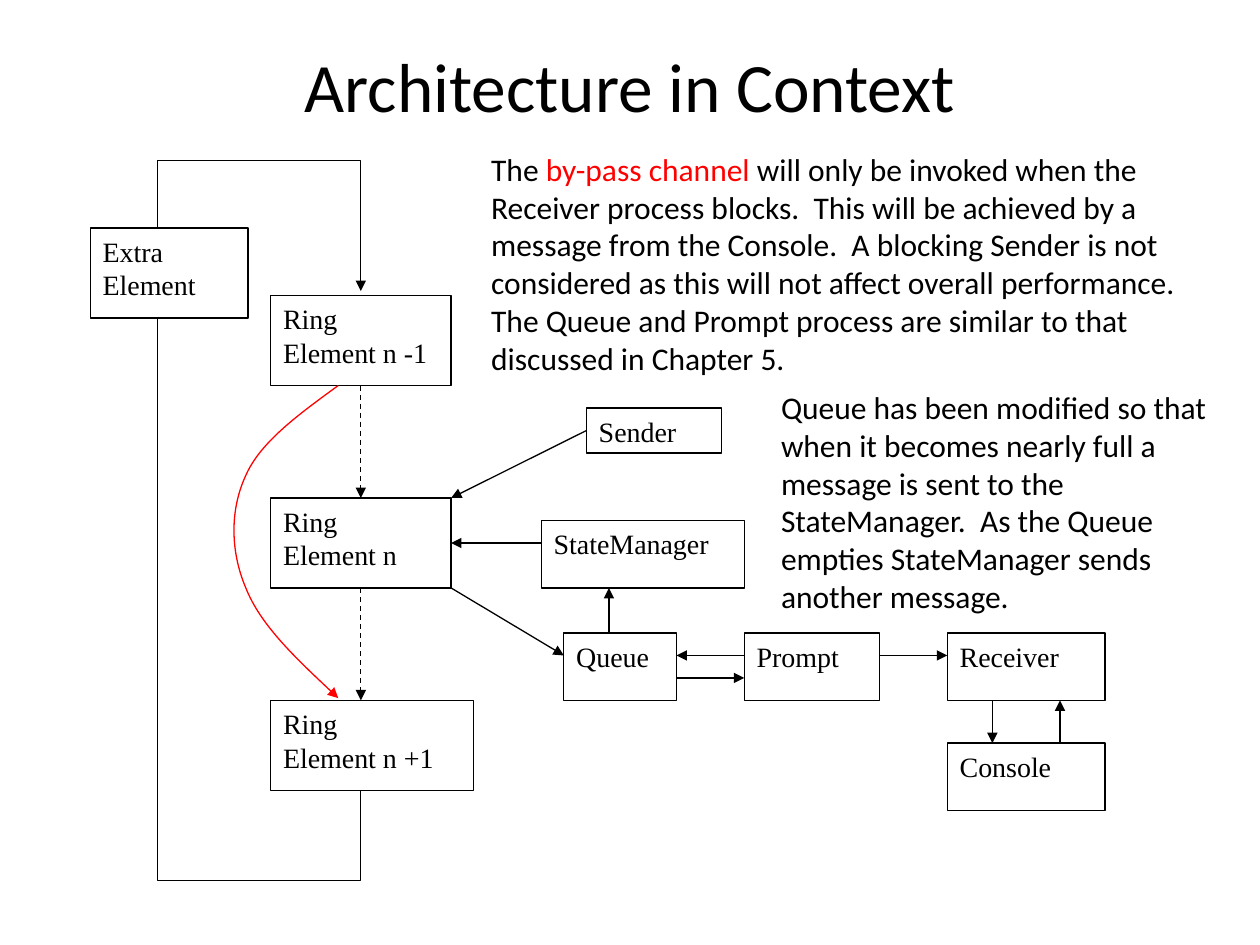
from lxml.etree import SubElement
from pptx import Presentation
from pptx.dml.color import RGBColor
from pptx.enum.dml import MSO_LINE
from pptx.enum.shapes import MSO_CONNECTOR, MSO_SHAPE
from pptx.enum.text import MSO_ANCHOR, PP_ALIGN
from pptx.oxml.ns import qn
from pptx.util import Inches, Pt

COLORS = {"ink": "000000", "paper": "FFFFFF", "bypass": "FF0000"}
WIDTH, HEIGHT = 10, 7.5
COL, ROW, TOP = 0.0179 * WIDTH, 0.0238 * HEIGHT, 0.17 * HEIGHT

BOXES = [
    ("Ring\nElement n -1", 12, 6, 8, 4),
    ("Ring\nElement n", 12, 15, 8, 4),
    ("Ring\nElement n +1", 12, 24, 9, 4),
    ("Extra\nElement", 4, 3, 7, 4),
    ("Sender", 26, 11, 6, 2),
    ("StateManager", 24, 16, 9, 3),
    ("Queue", 25, 21, 5, 3),
    ("Prompt", 33, 21, 6, 3),
    ("Receiver", 42, 21, 7, 3),
    ("Console", 42, 25.9, 7, 3),
]
ARROWS = [
    (26, 12, 20, 15),
    (20, 19, 25, 22),
    (33, 22, 30, 22),
    (30, 23, 33, 23),
    (39, 22, 42, 22),
    (27, 21, 27, 19),
    (24, 17, 20, 17),
    (44, 24, 44, 25.9),
    (47, 25.9, 47, 24),
]
DASHED_ARROWS = [(16, 10, 16, 15), (16, 19, 16, 24)]
LOOP = [(16, 28), (16, 32), (7, 32), (7, 0), (16, 0), (16, 5.8)]
BYPASS = [(15, 10), (13.3, 11.25), (11.55, 12.5), (10.9, 14), (10.2, 15.5),
          (10.2, 17.35), (10.9, 19), (11.55, 20.65), (13.3, 22.3), (15, 23.9)]
CHANNEL_NOTE = [
    [("The ", "ink"), ("by-pass channel ", "bypass"),
     ("will only be invoked when the Receiver process blocks.  This will be "
      "achieved by a message from the Console.  A blocking Sender is not "
      "considered as this will not affect overall performance.", "ink")],
    [("The Queue and Prompt process are similar to that discussed in "
      "Chapter 5.", "ink")],
]
QUEUE_NOTE = [
    [("Queue has been modified so that when it becomes nearly full a message "
      "is sent to the StateManager.  As the Queue empties StateManager sends "
      "another message.", "ink")],
]


def rgb(name):
    """Return the named colour."""
    return RGBColor.from_string(COLORS[name])


def at(col, row):
    """Return the point where a grid column and row meet."""
    return Inches(col * COL), Inches(TOP + row * ROW)


def add_run(p, text, size, font, color="ink"):
    """Append one formatted run to a paragraph."""
    r = p.add_run()
    r.text = text
    r.font.size, r.font.name = Pt(size), font
    r.font.color.rgb = rgb(color)


def add_text(slide, shares, paragraphs, size=18, align=PP_ALIGN.LEFT,
             anchor=MSO_ANCHOR.TOP):
    """Add wrapped text placed by shares of the slide's size."""
    x, y, w, h = shares
    tf = slide.shapes.add_textbox(Inches(x * WIDTH), Inches(y * HEIGHT),
                                  Inches(w * WIDTH), Inches(h * HEIGHT)).text_frame
    tf.word_wrap, tf.vertical_anchor = True, anchor
    for i, runs in enumerate(paragraphs):
        p = tf.add_paragraph() if i else tf.paragraphs[0]
        p.alignment = align
        for text, color in runs:
            add_run(p, text, size, "Calibri", color)


def add_box(slide, label, col, row, cols, rows):
    """Add a labelled process box on the grid."""
    sp = slide.shapes.add_shape(MSO_SHAPE.RECTANGLE, *at(col, row),
                                Inches(cols * COL), Inches(rows * ROW))
    sp.shadow.inherit = False
    sp.fill.solid()
    sp.fill.fore_color.rgb = rgb("paper")
    sp.line.color.rgb, sp.line.width = rgb("ink"), Pt(0.75)
    tf = sp.text_frame
    tf.word_wrap, tf.vertical_anchor = True, MSO_ANCHOR.TOP
    p = tf.paragraphs[0]
    p.alignment = PP_ALIGN.LEFT
    for i, text in enumerate(label.split("\n")):
        if i:
            p.add_line_break()
        add_run(p, text, 16, "Times New Roman")


def style_arrow(line, color="ink"):
    """Give a line its colour, width and arrowhead."""
    line.color.rgb, line.width = rgb(color), Pt(0.75)
    ln = line._get_or_add_ln()
    SubElement(ln, qn("a:tailEnd"), type="triangle")


def add_arrow(slide, x1, y1, x2, y2, dashed=False):
    """Add a straight arrow between two grid points."""
    c = slide.shapes.add_connector(MSO_CONNECTOR.STRAIGHT, *at(x1, y1), *at(x2, y2))
    if dashed:
        c.line.dash_style = MSO_LINE.DASH
    style_arrow(c.line)
    SubElement(c._element.spPr, qn("a:effectLst"))


def add_route(slide, points, color="ink", curved=False):
    """Add an open arrow through grid points, as lines or cubic curves."""
    fb = slide.shapes.build_freeform(*at(*points[0]))
    fb.add_line_segments([at(*pt) for pt in points[1:]], close=False)
    sp = fb.convert_to_shape()
    sp.shadow.inherit = False
    sp.fill.background()
    style_arrow(sp.line, color)
    if curved:
        segments = list(sp._element.iter(qn("a:lnTo")))
        outline = segments[0].getparent()
        for i in range(0, len(segments), 3):
            curve = SubElement(outline, qn("a:cubicBezTo"))
            for segment in segments[i:i + 3]:
                curve.append(segment[0])
                outline.remove(segment)


def main():
    """Build and save the slide."""
    prs = Presentation()
    prs.slide_width, prs.slide_height = Inches(WIDTH), Inches(HEIGHT)
    slide = prs.slides.add_slide(prs.slide_layouts[6])
    add_text(slide, (0.05, 0.04, 0.9, 0.1), [[("Architecture in Context", "ink")]],
             39.6, PP_ALIGN.CENTER, MSO_ANCHOR.MIDDLE)
    add_route(slide, LOOP)
    for box in BOXES:
        add_box(slide, *box)
    for arrow in ARROWS:
        add_arrow(slide, *arrow)
    for arrow in DASHED_ARROWS:
        add_arrow(slide, *arrow, dashed=True)
    add_route(slide, BYPASS, "bypass", curved=True)
    add_text(slide, (0.38, 0.152, 0.58, 0.256), CHANNEL_NOTE)
    add_text(slide, (0.61, 0.404, 0.362, 0.256), QUEUE_NOTE)
    prs.save("out.pptx")


main()
